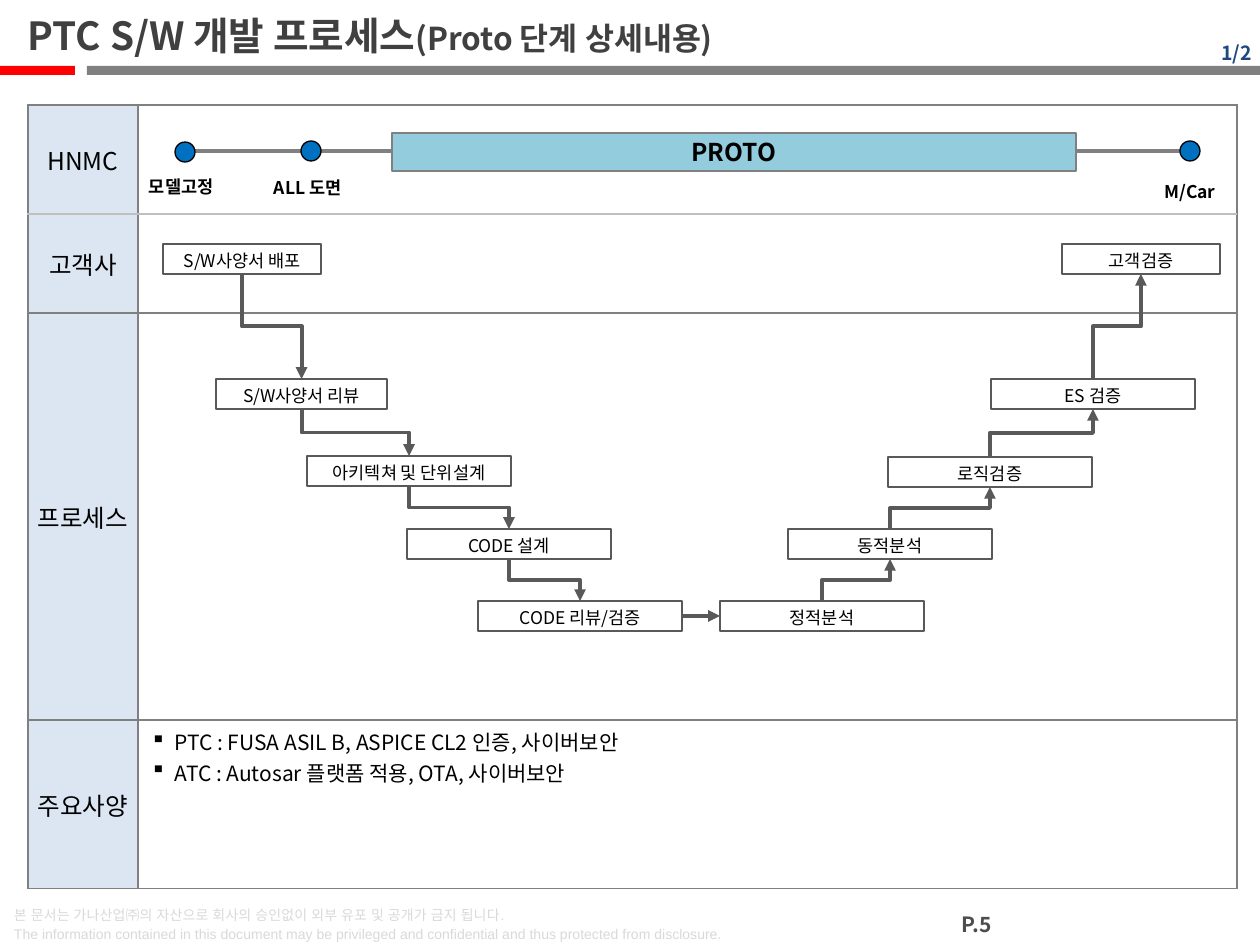
from dataclasses import dataclass

from lxml import etree
from pptx import Presentation
from pptx.dml.color import RGBColor
from pptx.enum.shapes import MSO_CONNECTOR, MSO_SHAPE
from pptx.enum.text import MSO_ANCHOR, PP_ALIGN
from pptx.oxml.ns import qn
from pptx.util import Emu, Pt

PX = 914400 / 126
RECT, OVAL = MSO_SHAPE.RECTANGLE, MSO_SHAPE.OVAL
STRAIGHT, ELBOW = MSO_CONNECTOR.STRAIGHT, MSO_CONNECTOR.ELBOW
TOP, MIDDLE = MSO_ANCHOR.TOP, MSO_ANCHOR.MIDDLE
LEFT, CENTER, RIGHT = PP_ALIGN.LEFT, PP_ALIGN.CENTER, PP_ALIGN.RIGHT


@dataclass(frozen=True)
class Theme:
    font: str = "Noto Sans CJK KR"
    footer_font: str = "Arial"
    ink: str = "000000"
    title: str = "404040"
    accent: str = "FF0000"
    gray: str = "808080"
    pale_gray: str = "BFBFBF"
    header: str = "DCE6F2"
    dot: str = "0070C0"
    phase: str = "93CDDD"
    flow: str = "595959"
    counter: str = "1F497D"
    page_number: str = "4D4D4D"
    footer: str = "D9D9D9"
    title_size: float = 22.1
    subtitle_size: float = 18
    head_size: float = 14
    body_size: float = 12
    counter_size: float = 11.1
    label_size: float = 10
    footer_size: float = 8
    thin: float = 0.75
    medium: float = 1.5
    thick: float = 2.25


THEME = Theme()


def px(value):
    return Emu(round(value * PX))


def rgb(value):
    return RGBColor.from_string(value)


def add_span(para, text, size, color=THEME.ink, bold=False, font=THEME.font):
    span = para.add_run()
    span.text = text
    span.font.size = Pt(size)
    span.font.bold = bold
    span.font.name = font
    span.font.color.rgb = rgb(color)
    etree.SubElement(span.font._element, qn("a:ea")).set("typeface", font)


def set_frame(frame, anchor=TOP, insets=(13, 6, 13, 6)):
    frame.word_wrap = True
    frame.vertical_anchor = anchor
    (frame.margin_left, frame.margin_top,
     frame.margin_right, frame.margin_bottom) = map(px, insets)


def add_text(page, place, lines, align=LEFT, anchor=TOP, insets=(13, 6, 13, 6), spacing=None):
    """Each line is a list of spans, given as arguments of add_span."""
    frame = page.shapes.add_textbox(*map(px, place)).text_frame
    set_frame(frame, anchor, insets)
    for index, spans in enumerate(lines):
        para = frame.add_paragraph() if index else frame.paragraphs[0]
        para.alignment = align
        if spacing:
            para.line_spacing = Pt(spacing)
        for span in spans:
            add_span(para, *span)


def add_box(page, place, kind=RECT, fill=None, line=None, width=THEME.thin):
    box = page.shapes.add_shape(kind, *map(px, place))
    box.shadow.inherit = False
    if fill:
        box.fill.solid()
        box.fill.fore_color.rgb = rgb(fill)
    else:
        box.fill.background()
    if line:
        box.line.color.rgb = rgb(line)
        box.line.width = Pt(width)
    else:
        box.line.fill.background()
    return box


def label_box(box, text, size, bold=False, anchor=TOP):
    set_frame(box.text_frame, anchor)
    para = box.text_frame.paragraphs[0]
    para.alignment = CENTER
    add_span(para, text, size, THEME.ink, bold)


def add_line(page, kind, start, end, color, arrow=False):
    line = page.shapes.add_connector(kind, *map(px, (*start, *end)))
    line.line.color.rgb = rgb(color)
    line.line.width = Pt(THEME.thick)
    if arrow:
        etree.SubElement(line.line._get_or_add_ln(), qn("a:tailEnd")).set("type", "triangle")
    etree.SubElement(line._element.spPr, qn("a:effectLst"))
    return line


def add_step_arrow(page, start, end):
    """Vertical, horizontal, vertical arrow running to the right."""
    run, rise = end[0] - start[0], abs(end[1] - start[1])
    left = (start[0] + end[0] - rise) / 2
    top = (start[1] + end[1] - run) / 2
    arrow = add_line(page, ELBOW, (left, top), (left + rise, top + run), THEME.flow, True)
    frame = arrow._element.spPr.find(qn("a:xfrm"))
    upward = end[1] < start[1]
    frame.set("rot", str((90 if upward else 270) * 60000))
    frame.set("flipH", "1")
    if upward:
        frame.set("flipV", "1")


def style_cell(cell, fill, top, bottom):
    borders = {"a:lnL": THEME.gray, "a:lnR": THEME.gray, "a:lnT": top, "a:lnB": bottom}
    props = cell._tc.get_or_add_tcPr()
    for tag, color in borders.items():
        border = etree.SubElement(props, qn(tag), w=str(Pt(THEME.thin)))
        solid = etree.SubElement(border, qn("a:solidFill"))
        etree.SubElement(solid, qn("a:srgbClr"), val=color)
    if fill:
        cell.fill.solid()
        cell.fill.fore_color.rgb = rgb(fill)
    else:
        cell.fill.background()


def add_bullets(frame, lines):
    for index, text in enumerate(lines):
        para = frame.add_paragraph() if index else frame.paragraphs[0]
        props = para._p.get_or_add_pPr()
        props.set("marL", str(px(24)))
        props.set("indent", str(-px(24)))
        etree.SubElement(props, qn("a:buChar")).set("char", "▪")
        add_span(para, text, THEME.body_size)


def add_lanes(page):
    heads = ["HNMC", "고객사", "프로세스", "주요사양"]
    heights, widths = [109, 99, 407, 169], [110, 1099]
    table = page.shapes.add_table(
        len(heads), 2, *map(px, (28, 105, sum(widths), sum(heights)))).table
    table.first_row = table.horz_banding = False
    for column, width in zip(table.columns, widths):
        column.width = px(width)
    edges = [THEME.gray, THEME.pale_gray, THEME.gray, THEME.gray, THEME.gray]
    for row, (head, height) in enumerate(zip(heads, heights)):
        table.rows[row].height = px(height)
        for column, fill in enumerate((THEME.header, None)):
            style_cell(table.cell(row, column), fill, edges[row], edges[row + 1])
        cell = table.cell(row, 0)
        cell.vertical_anchor = MIDDLE
        cell.margin_left = cell.margin_right = cell.margin_top = cell.margin_bottom = px(5)
        para = cell.text_frame.paragraphs[0]
        para.alignment = CENTER
        add_span(para, head, THEME.head_size)
    add_bullets(table.cell(3, 1).text_frame,
                ["PTC : FUSA ASIL B, ASPICE CL2 인증, 사이버보안",
                 "ATC : Autosar 플랫폼 적용, OTA, 사이버보안"])


def add_timeline(page):
    add_line(page, STRAIGHT, (191, 151), (1196, 151), THEME.gray)
    for left, top in ((175, 142), (301, 141), (1180, 141)):
        add_box(page, (left, top, 20, 20), OVAL, THEME.dot, THEME.ink)
    phase = add_box(page, (392, 133, 684, 38), RECT, THEME.phase, THEME.gray, THEME.medium)
    label_box(phase, "PROTO", THEME.head_size, True, MIDDLE)
    for text, left, top, width, align in (("모델고정", 136, 170, 100, LEFT),
                                          ("ALL 도면", 261, 171, 100, LEFT),
                                          ("M/Car", 1145, 175, 90, CENTER)):
        add_text(page, (left, top, width, 30), [[(text, THEME.label_size, THEME.ink, True)]], align)


def add_flow(page):
    # Text, left, top, width in order of work: down one side, up the other
    height = 30
    down = [("S/W사양서 배포", 163, 244, 158), ("S/W사양서 리뷰", 216, 379, 171),
            ("아키텍쳐 및 단위설계", 307, 456, 204), ("CODE 설계", 407, 529, 204),
            ("CODE 리뷰/검증", 478, 601, 204)]
    up = [("정적분석", 720, 601, 204), ("동적분석", 788, 529, 204), ("로직검증", 888, 457, 204),
          ("ES 검증", 991, 379, 204), ("고객검증", 1062, 244, 158)]
    for text, left, top, width in down + up:
        label_box(add_box(page, (left, top, width, height), line=THEME.flow),
                  text, THEME.label_size)
    for steps, leave, arrive in ((down, height, 0), (up, 0, height)):
        for (_, left, top, width), (_, next_left, next_top, next_width) in zip(steps, steps[1:]):
            add_step_arrow(page, (left + width / 2, top + leave),
                           (next_left + next_width / 2, next_top + arrive))
    _, left, top, width = down[-1]
    middle = top + height / 2
    add_line(page, STRAIGHT, (left + width, middle), (up[0][1], middle), THEME.flow, True)


def add_furniture(page):
    # Title rule, title and part counter
    add_box(page, (0, 66, 75, 9), fill=THEME.accent)
    add_box(page, (87, 66, 1173, 9), fill=THEME.gray)
    add_text(page, (25, 6, 912, 59),
             [[("PTC S/W 개발 프로세스", THEME.title_size, THEME.title, True),
               ("(Proto 단계 상세내용)", THEME.subtitle_size, THEME.title, True)]],
             anchor=MIDDLE, insets=(3, 6, 13, 6))
    add_text(page, (1178, 36, 83, 33), [[("1/2", THEME.counter_size, THEME.counter, True)]],
             RIGHT, MIDDLE, (9, 5, 9, 5))
    # Footer
    notice = ["본 문서는 가나산업㈜의 자산으로 회사의 승인없이 외부 유포 및 공개가 금지 됩니다.",
              "The information contained in this document may be privileged and confidential "
              "and thus protected from disclosure."]
    add_text(page, (1, 898, 932, 47),
             [[(text, THEME.footer_size, THEME.footer, False, THEME.footer_font)]
              for text in notice], spacing=11)
    add_text(page, (927, 906, 100, 39),
             [[("P.5", THEME.body_size, THEME.page_number, True)]], CENTER)


def main():
    deck = Presentation()
    deck.slide_width, deck.slide_height = px(1260), px(945)
    page = deck.slides.add_slide(deck.slide_layouts[6])
    add_furniture(page)
    add_lanes(page)
    add_timeline(page)
    add_flow(page)
    deck.save("out.pptx")


if __name__ == "__main__":
    main()
